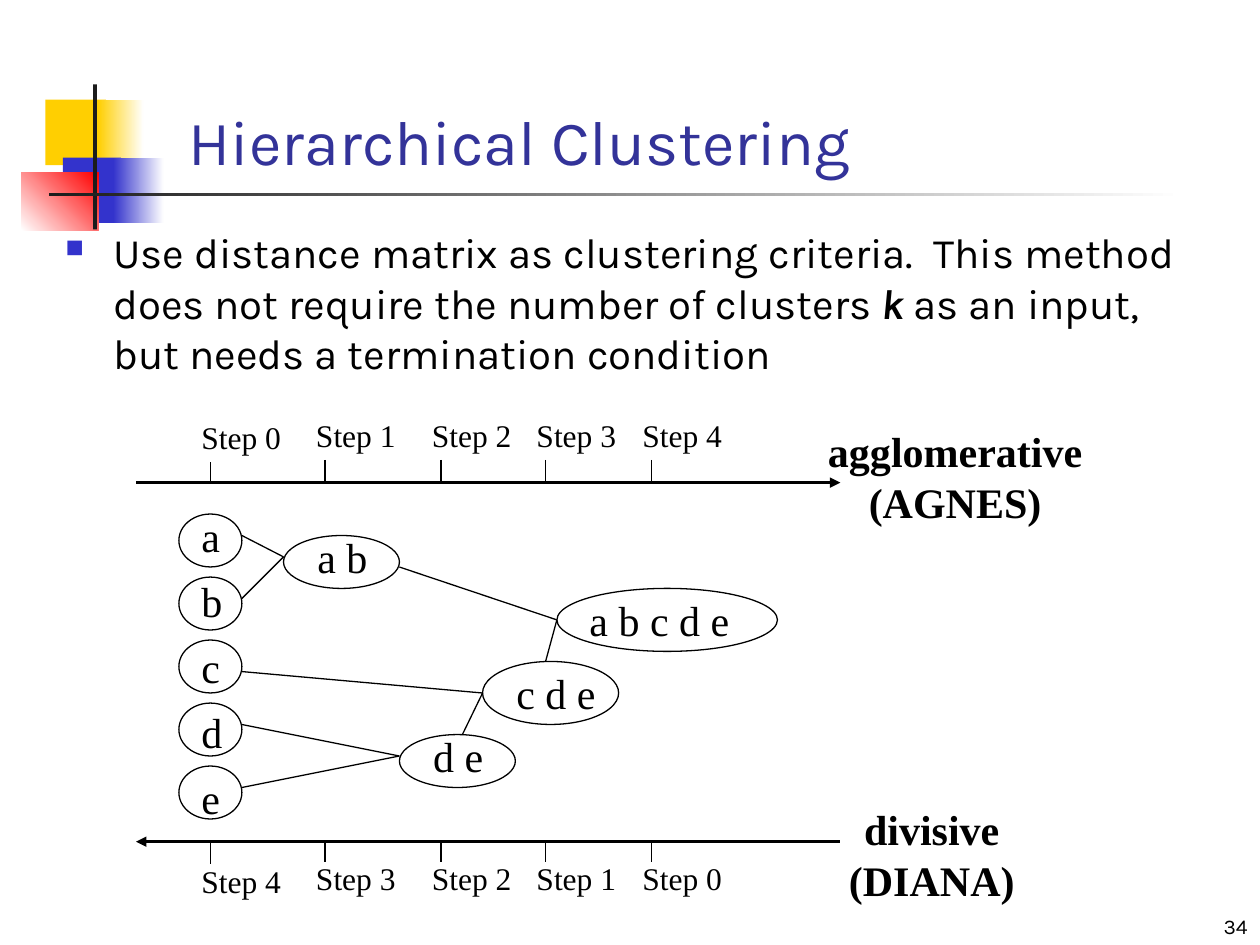
"""Build the slide on agglomerative and divisive hierarchical clustering."""
from lxml.etree import SubElement
from pptx import Presentation
from pptx.dml.color import RGBColor
from pptx.enum.shapes import MSO_CONNECTOR, MSO_SHAPE
from pptx.enum.text import MSO_ANCHOR, PP_ALIGN
from pptx.oxml.ns import qn
from pptx.util import Inches, Pt

hue = RGBColor.from_string
SERIF = "Times New Roman"


def write(text, x, y, w, h, size, font=SERIF, color="000000", align=PP_ALIGN.LEFT,
          wrap=False, bold=False, gap=0):
    box = slide.shapes.add_textbox(Inches(x), Inches(y), Inches(w), Inches(h))
    frame = box.text_frame
    frame.word_wrap = wrap
    frame.text = text
    for para in frame.paragraphs:
        para.alignment = align
        para.space_before = Pt(gap)
        para.font.size = Pt(size)
        para.font.name = font
        para.font.bold = bold
        para.font.color.rgb = hue(color)
    return frame


def join(x1, y1, x2, y2, width=0.75, tip=None):
    line = slide.shapes.add_connector(
        MSO_CONNECTOR.STRAIGHT, Inches(x1), Inches(y1), Inches(x2), Inches(y2))
    line.line.color.rgb = hue("000000")
    line.line.width = Pt(width)
    if tip:
        SubElement(line.line._get_or_add_ln(), qn(tip), type="triangle")
    SubElement(line._element.spPr, qn("a:effectLst"))


deck = Presentation()
deck.slide_width = Inches(10)
deck.slide_height = Inches(7.5)
slide = deck.slides.add_slide(deck.slide_layouts[6])

for x, y, w, h, start, end, angle in [
    (0.36, 0.79, 0.48, 0.52, "FFCF01", None, 0),
    (0.78, 0.79, 0.36, 0.52, "FFCF01", "FFFFFF", 0),
    (0.5, 1.25, 0.46, 0.52, "3333CC", None, 0),
    (0.9, 1.25, 0.4, 0.52, "3333CC", "FFFFFF", 0),
    (0.17, 1.37, 0.61, 0.46, "FFFFFF", "FF0000", 45),
    (0.74, 0.67, 0.03, 1.15, "1C1C1C", None, 0),
    (0.39, 1.53, 9, 0.03, "1C1C1C", "FFFFFF", 0),
]:
    bar = slide.shapes.add_shape(
        MSO_SHAPE.RECTANGLE, Inches(x), Inches(y), Inches(w), Inches(h))
    bar.shadow.inherit = False
    bar.line.fill.background()
    if end:
        bar.fill.gradient()
        bar.fill.gradient_angle = angle
        for stop, color in zip(bar.fill.gradient_stops, (start, end)):
            stop.color.rgb = hue(color)
    else:
        bar.fill.solid()
        bar.fill.fore_color.rgb = hue(start)

page = write("34", 7.92, 7.08, 2.08, 0.42, 12, "Karla", align=PP_ALIGN.RIGHT, wrap=True)
page.vertical_anchor = MSO_ANCHOR.BOTTOM
title = write("Hierarchical Clustering", 1.4, 0.87, 7.98, 0.48, 36, "Karla", "333399", wrap=True)
title.vertical_anchor = MSO_ANCHOR.MIDDLE

body = write("Use distance matrix as clustering criteria.  This method does not require "
             "the number of clusters ", 0.42, 1.75, 9.08, 5.33, 24, "Karla", wrap=True, gap=15)
para = body.paragraphs[0]
key = para.add_run()
key.text = "k"
key.font.bold = key.font.italic = True
para.add_run().text = " as an input, but needs a termination condition"
props = para._p.get_or_add_pPr()
props.set("marL", str(Inches(0.38)))
props.set("indent", str(Inches(-0.38)))
tint = SubElement(props, qn("a:buClr"))
SubElement(tint, qn("a:srgbClr"), val="3333CC")
SubElement(props, qn("a:buSzPct"), val="60000")
SubElement(props, qn("a:buChar"), char="■")
props.append(props.find(qn("a:defRPr")))

join(1.08, 3.83, 6.67, 3.83, 1.5, "a:tailEnd")
join(1.08, 6.68, 6.67, 6.68, 1.5, "a:headEnd")
for step, x in enumerate([1.67, 2.58, 3.5, 4.33, 5.17]):
    drop = 0 if step else 0.02
    for tick, label, num in [(3.65, 3.25, step), (6.67, 6.77, 4 - step)]:
        join(x, tick + drop, x, tick + drop + 0.17)
        write(f"Step {num}", x - 0.17, label + drop, 0.83, 0.4, 18, wrap=True, gap=11.2)

nodes = [(name, 1.5, 4 + 0.52 * row, 0.35, 1.42, 4.08 + 0.5 * row, 0.5, 0.42)
         for row, name in enumerate("abcde")]
nodes += [
    ("a b", 2.42, 4.17, 0.6, 2.25, 4.25, 0.92, 0.42),
    ("d e", 3.34, 5.75, 0.6, 3.17, 5.83, 0.92, 0.42),
    ("c d e", 4, 5.25, 0.83, 3.83, 5.25, 1.08, 0.5),
    ("a b c d e", 4.58, 4.67, 1.31, 4.42, 4.67, 1.75, 0.5),
]
for name, left, top, wide, x, y, w, h in nodes:
    write(name, left, top, wide, 0.5, 24)
    ring = slide.shapes.add_shape(
        MSO_SHAPE.OVAL, Inches(x), Inches(y), Inches(w), Inches(h))
    ring.shadow.inherit = False
    ring.fill.background()
    ring.line.color.rgb = hue("000000")
    ring.line.width = Pt(0.75)

for x, y, starts in [
    (2.25, 4.42, [(1.92, 4.25), (1.92, 4.75)]),
    (3.17, 6, [(1.92, 5.75), (1.92, 6.25)]),
    (3.83, 5.5, [(1.92, 5.33), (3.67, 5.83)]),
    (4.42, 4.92, [(3.17, 4.5), (4.33, 5.25)]),
]:
    for left, top in starts:
        join(left, top, x, y)

for text, x, y, w in [("agglomerative\n(AGNES)", 6.42, 3.33, 2.32),
                      ("divisive\n(DIANA)", 6.54, 6.33, 1.71)]:
    write(text, x, y, w, 0.9, 24, align=PP_ALIGN.CENTER, bold=True)

deck.save("out.pptx")
